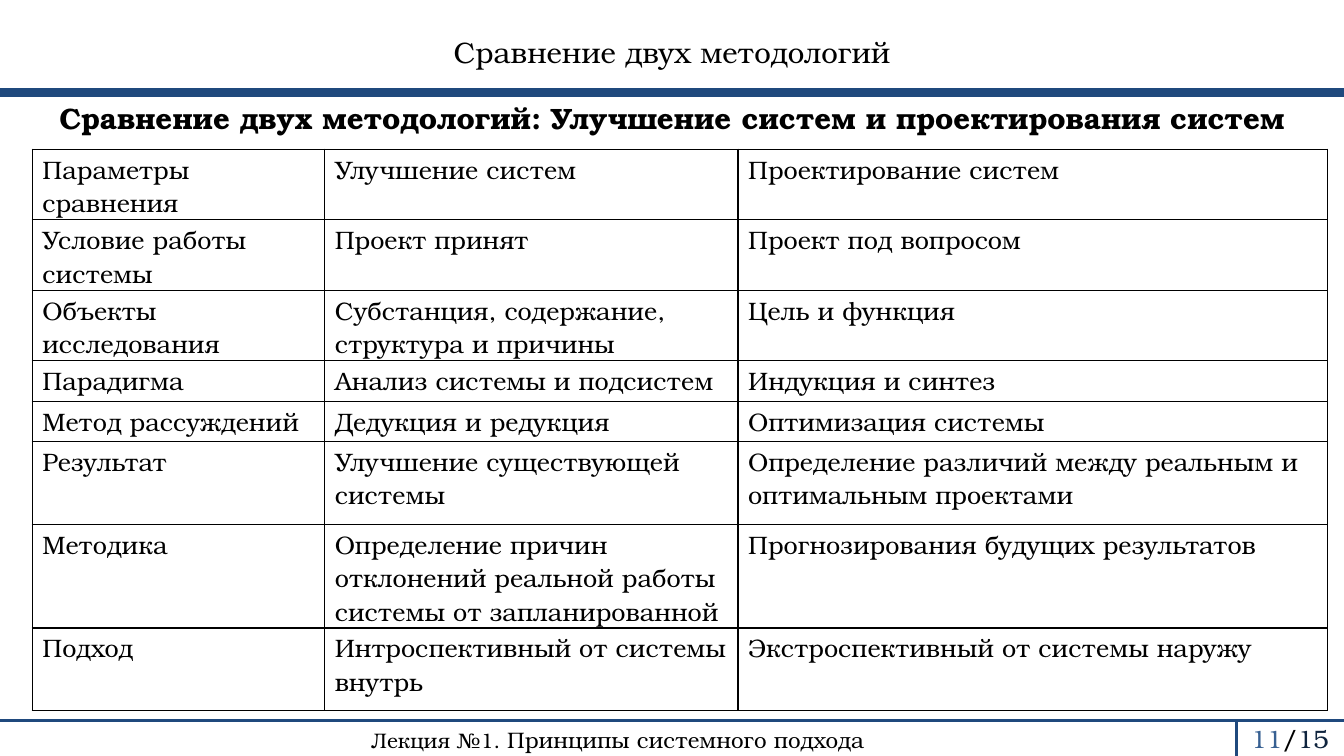
import pptx
import pptx.dml.color
import pptx.enum.shapes
import pptx.enum.text
import pptx.oxml
import pptx.oxml.ns
import pptx.util

WIDTH, HEIGHT = 13.33, 7.5
FONT = "TeX Gyre Bonum"
BLACK, NAVY = "000000", "1F497D"
HEADER_LINE, FOOTER_LINE, NUMBER_LINE = 0.92, 7.15, 12.26
COLUMNS = [2.9, 4.1, 5.85]
ROWS = [
    (0.7, "Параметры сравнения", "Улучшение систем", "Проектирование систем"),
    (0.7, "Условие работы системы", "Проект принят", "Проект под вопросом"),
    (0.7, "Объекты исследования", "Субстанция, содержание, структура и причины",
     "Цель и функция"),
    (0.4, "Парадигма", "Анализ системы и подсистем", "Индукция и синтез"),
    (0.4, "Метод рассуждений", "Дедукция и редукция", "Оптимизация системы"),
    (0.82, "Результат", "Улучшение существующей системы",
     "Определение различий между реальным и оптимальным проектами"),
    (1.0, "Методика",
     "Определение причин отклонений реальной работы системы от запланированной",
     "Прогнозирования будущих результатов"),
    (0.82, "Подход", "Интроспективный от системы внутрь",
     "Экстроспективный от системы наружу"),
]


def inches(*lengths):
    return [pptx.util.Inches(length) for length in lengths]


def color(value):
    return pptx.dml.color.RGBColor.from_string(value)


def add_span(para, text, size, fill=BLACK, bold=False):
    span = para.add_run()
    span.text = text
    span.font.name = FONT
    span.font.size = pptx.util.Pt(size)
    span.font.bold = bold
    span.font.color.rgb = color(fill)


def add_centred_text(page, place, *spans):
    """Each span is a tuple of text, size and, if needed, colour and bold."""
    frame = page.shapes.add_textbox(*inches(*place)).text_frame
    frame.word_wrap = True
    para = frame.paragraphs[0]
    para.alignment = pptx.enum.text.PP_ALIGN.CENTER
    for span in spans:
        add_span(para, *span)


def add_rule(page, start, end, weight):
    rule = page.shapes.add_connector(
        pptx.enum.shapes.MSO_CONNECTOR.STRAIGHT, *inches(*start, *end))
    rule.line.color.rgb = color(NAVY)
    rule.line.width = pptx.util.Pt(weight)
    properties = rule._element.spPr
    properties.append(pptx.oxml.parse_xml(
        f"<a:effectLst {pptx.oxml.ns.nsdecls('a')}/>"))


def add_borders(cell):
    properties = cell._tc.get_or_add_tcPr()
    for index, side in enumerate(("lnL", "lnR", "lnT", "lnB")):
        properties.insert(index, pptx.oxml.parse_xml(
            f"<a:{side} {pptx.oxml.ns.nsdecls('a')} w='12700'><a:solidFill>"
            f"<a:srgbClr val='{BLACK}'/></a:solidFill></a:{side}>"))


def fill_cell(cell, text):
    cell.fill.background()
    cell.margin_top, cell.margin_bottom = inches(0.03, 0)
    para = cell.text_frame.paragraphs[0]
    para.line_spacing = pptx.util.Pt(24)
    add_span(para, text, 18)
    add_borders(cell)


def add_comparison(page, left, top):
    height = sum(row[0] for row in ROWS)
    table = page.shapes.add_table(
        len(ROWS), len(COLUMNS), *inches(left, top, sum(COLUMNS), height)).table
    table.first_row = table.horz_banding = False
    for column, width in zip(table.columns, inches(*COLUMNS)):
        column.width = width
    for row, (row_height, *texts) in zip(table.rows, ROWS):
        row.height = pptx.util.Inches(row_height)
        for cell, text in zip(row.cells, texts):
            fill_cell(cell, text)


def main():
    deck = pptx.Presentation()
    deck.slide_width, deck.slide_height = inches(WIDTH, HEIGHT)
    page = deck.slides.add_slide(deck.slide_layouts[6])
    add_centred_text(page, (WIDTH / 8, 0.29, WIDTH * 3 / 4, 0.45),
                     ("Сравнение двух методологий", 21))
    add_rule(page, (0, HEADER_LINE), (WIDTH, HEADER_LINE), 6)
    add_rule(page, (0, FOOTER_LINE), (WIDTH, FOOTER_LINE), 2.25)
    add_rule(page, (NUMBER_LINE, HEIGHT), (NUMBER_LINE, FOOTER_LINE), 2.25)
    add_centred_text(page, (NUMBER_LINE, 7.13, WIDTH - NUMBER_LINE, 0.4),
                     ("11", 18, "376092"), ("/", 18), ("15", 18, "0F243E"))
    add_centred_text(page, (0, FOOTER_LINE, NUMBER_LINE, 0.37),
                     ("Лекция №1. ", 15), ("Принципы системного подхода", 16))
    add_comparison(page, 0.32, 1.48)
    add_centred_text(
        page, (0.29, 0.94, 12.76, 0.45),
        ("Сравнение двух методологий: Улучшение систем и проектирования систем",
         21, BLACK, True))
    deck.save("out.pptx")


if __name__ == "__main__":
    main()
